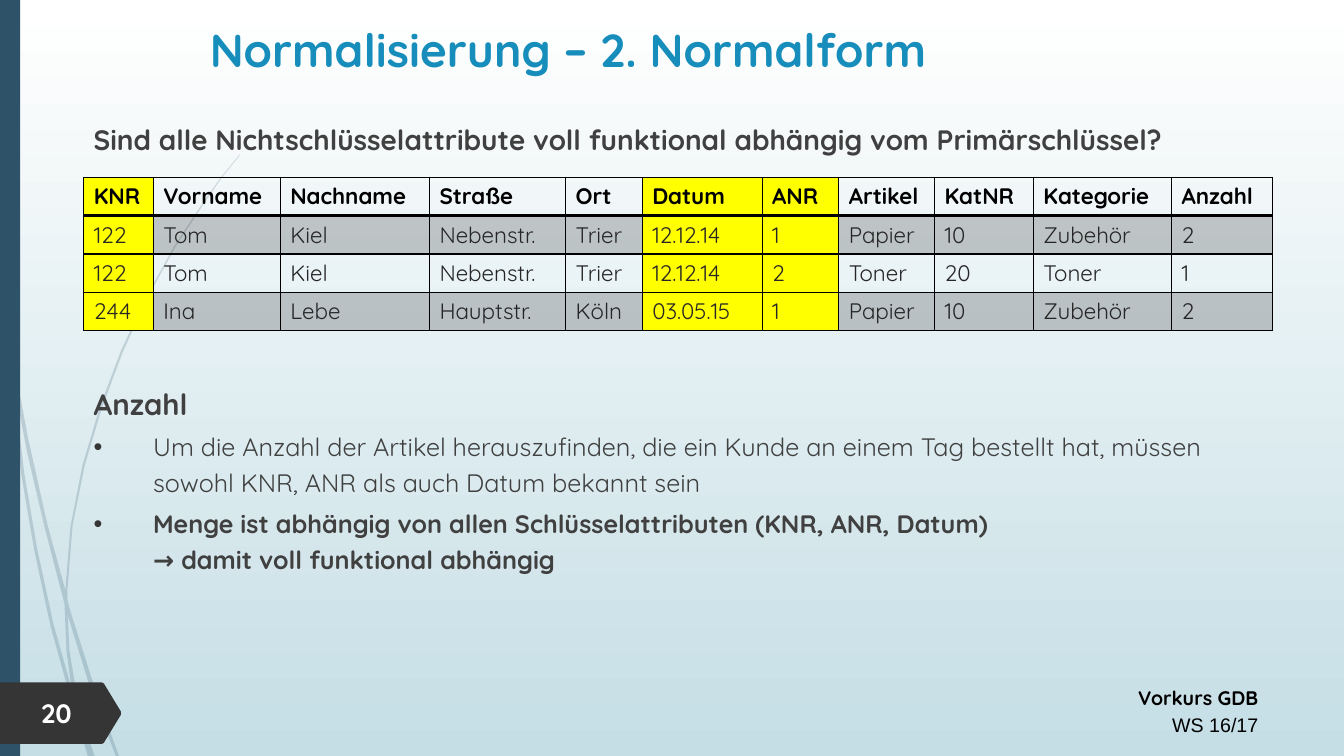
from lxml.etree import SubElement
from pptx import Presentation
from pptx.dml.color import RGBColor
from pptx.enum.shapes import MSO_SHAPE
from pptx.enum.text import PP_ALIGN
from pptx.oxml.ns import qn
from pptx.util import Pt

PX = 9144
WIDE, HIGH = 1333, 750
FACE = "Quicksand"

BLACK = RGBColor(0x00, 0x00, 0x00)
WHITE = RGBColor(0xFF, 0xFF, 0xFF)
MIST = RGBColor(0xC5, 0xDE, 0xE5)
NAVY = RGBColor(0x2E, 0x53, 0x69)
BLUE = RGBColor(0x17, 0x8D, 0xBB)
DARK = RGBColor(0x35, 0x35, 0x35)
GREY = RGBColor(0x40, 0x40, 0x40)
INK = RGBColor(0x26, 0x26, 0x26)
YELLOW = RGBColor(0xFF, 0xFF, 0x00)

TITLE = "Normalisierung – 2. Normalform"
QUESTION = "Sind alle Nichtschlüsselattribute voll funktional abhängig vom Primärschlüssel?"
ANSWER = [
    ("Anzahl", 21, True, False),
    ("Um die Anzahl der Artikel herauszufinden, die ein Kunde an einem Tag "
     "bestellt hat, müssen sowohl KNR, ANR als auch Datum bekannt sein", 18, False, True),
    ("Menge ist abhängig von allen Schlüsselattributen (KNR, ANR, Datum)\v"
     "→ damit voll funktional abhängig", 18, True, True),
]
ORDERS = [
    ("KNR", "Vorname", "Nachname", "Straße", "Ort", "Datum", "ANR",
     "Artikel", "KatNR", "Kategorie", "Anzahl"),
    ("122", "Tom", "Kiel", "Nebenstr.", "Trier", "12.12.14", "1",
     "Papier", "10", "Zubehör", "2"),
    ("122", "Tom", "Kiel", "Nebenstr.", "Trier", "12.12.14", "2",
     "Toner", "20", "Toner", "1"),
    ("244", "Ina", "Lebe", "Hauptstr.", "Köln", "03.05.15", "1",
     "Papier", "10", "Zubehör", "2"),
]
KEYS = {"KNR", "ANR", "Datum"}
COLS = [69, 126, 148, 135, 76, 119, 76, 95, 98, 137, 100]
ROW = 38

WISPS = [
    [(8, 350), (6, 322), (0, 282), (0, 299), (8, 344)],
    [(44, 522), (64, 599), (65, 586), (47, 520), (28, 435), (11, 345), (13, 376), (27, 449)],
    [(70, 607), (67, 596), (67, 610), (93, 694), (115, 750), (118, 750), (97, 692)],
    [(91, 750), (94, 750), (80, 711)],
    [(71, 683), (53, 619), (37, 545), (24, 469), (13, 376), (8, 350), (21, 470),
     (34, 546), (50, 621), (70, 693), (77, 714), (75, 707)],
    [(64, 599), (66, 646), (71, 683), (73, 692), (80, 711), (79, 706), (69, 646), (67, 608)],
    [(67, 584), (72, 522), (84, 462), (101, 405), (122, 349), (146, 296), (174, 245),
     (205, 198), (221, 175), (238, 154), (238, 153), (220, 175), (204, 197), (173, 244),
     (145, 295), (120, 348), (99, 404), (82, 461), (70, 522), (65, 584), (65, 586), (67, 596)],
    [(77, 714), (87, 750), (90, 750)],
    [(67, 608), (67, 596), (65, 586), (64, 599)],
    [(74, 692), (71, 683), (75, 707), (77, 714), (90, 750), (91, 750), (80, 711)],
]
BADGE = [(0, 677), (101, 677), (103, 678), (120, 706), (120, 709), (103, 737), (101, 738), (0, 738)]


def fade(fill, share):
    tint = next(fill.iter(qn("a:srgbClr")))
    SubElement(tint, qn("a:alpha"), val=str(share * 1000))


def paint(shape, color):
    shape.shadow.inherit = False
    shape.fill.solid()
    shape.fill.fore_color.rgb = color
    shape.line.fill.background()


def outline(shapes, nodes, color):
    pen = shapes.build_freeform(*nodes[0], scale=PX)
    pen.add_line_segments(nodes[1:], close=True)
    shape = pen.convert_to_shape()
    paint(shape, color)
    return shape


def style(para, size, color, bold, face=FACE):
    for run in para.runs:
        font = run.font
        font.name, font.size, font.bold = face, Pt(size), bold
        font.color.rgb = color


def add_text(shapes, box, text, size, color, space=1.0, align=PP_ALIGN.LEFT):
    frame = shapes.add_textbox(*[n * PX for n in box]).text_frame
    frame.word_wrap = True
    frame.text = text
    for para in frame.paragraphs:
        para.alignment = align
        para.line_spacing = space
        style(para, size, color, True)
    return frame


def add_bullet(para):
    props = para._p.get_or_add_pPr()
    props.set("marL", str(59 * PX))
    props.set("indent", str(-59 * PX))
    tint = SubElement(props, qn("a:buClr"))
    SubElement(tint, qn("a:srgbClr"), val=str(DARK))
    SubElement(props, qn("a:buFont"), typeface="Arial")
    SubElement(props, qn("a:buChar"), char="•")


def frame_cell(cell, head, below):
    props = cell._tc.get_or_add_tcPr()
    sides = [("L", 1), ("R", 1), ("T", 2 if below else 1), ("B", 2 if head else 1)]
    for spot, (side, width) in enumerate(sides):
        edge = SubElement(props, qn("a:ln" + side), w=str(Pt(width)))
        solid = SubElement(edge, qn("a:solidFill"))
        SubElement(solid, qn("a:srgbClr"), val=str(BLACK))
        props.insert(spot, edge)


def add_orders(shapes):
    area = (83, 176, sum(COLS), ROW * len(ORDERS))
    table = shapes.add_table(len(ORDERS), len(COLS), *[n * PX for n in area]).table
    table.horz_banding = False
    for col, width in zip(table.columns, COLS):
        col.width = width * PX
    for r, line in enumerate(ORDERS):
        table.rows[r].height = ROW * PX
        for c, text in enumerate(line):
            cell = table.cell(r, c)
            cell.text = text
            style(cell.text_frame.paragraphs[0], 16, INK if r else BLACK, r == 0)
            key = ORDERS[0][c] in KEYS
            if key or r % 2:
                cell.fill.solid()
                cell.fill.fore_color.rgb = YELLOW if key else BLACK
                if not key:
                    fade(cell._tc.tcPr, 20)
            else:
                cell.fill.background()
            frame_cell(cell, r == 0, r == 1)


def main():
    deck = Presentation()
    deck.slide_width, deck.slide_height = WIDE * PX, HIGH * PX
    slide = deck.slides.add_slide(deck.slide_layouts[6])
    shapes = slide.shapes

    back = slide.background.fill
    back.gradient()
    back.gradient_angle = 270
    for stop, color, place in zip(back.gradient_stops, (WHITE, MIST), (0, 1)):
        stop.color.rgb = color
        stop.position = place

    for nodes in WISPS:
        fade(outline(shapes, nodes, NAVY)._element.spPr, 20)
    paint(shapes.add_shape(MSO_SHAPE.RECTANGLE, 0, 0, 20 * PX, HIGH * PX), NAVY)
    outline(shapes, BADGE, DARK)

    add_text(shapes, (31, 686, 70, 42), "20", 19, WHITE)
    foot = add_text(shapes, (738, 672, 520, 64), "Vorkurs GDB\nWS 16/17", 14,
                    BLACK, 1.14, PP_ALIGN.RIGHT)
    style(foot.paragraphs[1], 14, BLACK, False, "Arial")
    add_text(shapes, (115, 16, 897, 81), TITLE, 33, BLUE, align=PP_ALIGN.CENTER)
    add_text(shapes, (83, 110, 1180, 52), QUESTION, 20, GREY, 1.2)

    text = "\n".join(item[0] for item in ANSWER)
    body = add_text(shapes, (83, 371, 1180, 220), text, 18, GREY, 1.2)
    for spot, (para, item) in enumerate(zip(body.paragraphs, ANSWER)):
        words, size, bold, dot = item
        para.space_before = Pt(3 if spot else 0)
        style(para, size, GREY, bold)
        if dot:
            add_bullet(para)
    add_orders(shapes)
    deck.save("out.pptx")


if __name__ == "__main__":
    main()
